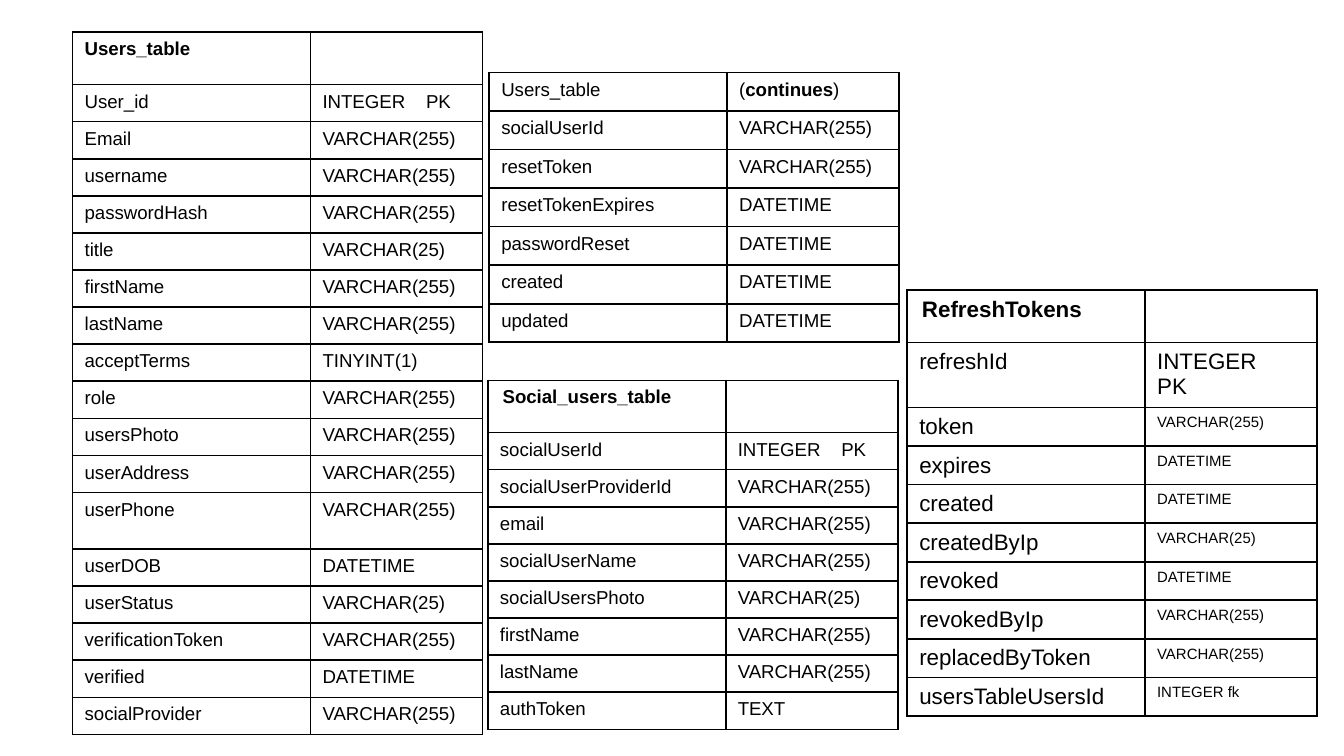
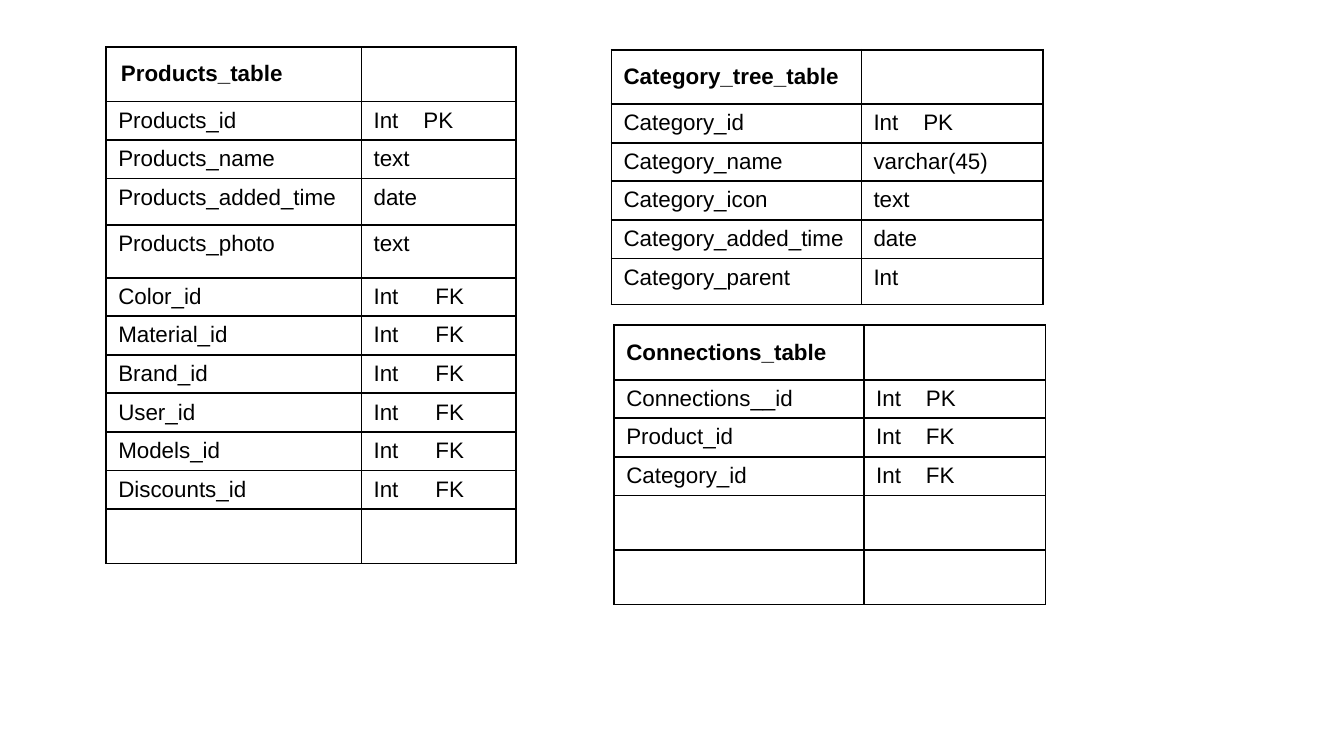
from dataclasses import dataclass

from lxml import etree
from pptx import Presentation
from pptx.dml.color import RGBColor
from pptx.enum.text import MSO_ANCHOR
from pptx.oxml.ns import qn
from pptx.util import Inches, Pt

TOP, MIDDLE = MSO_ANCHOR.TOP, MSO_ANCHOR.MIDDLE
WIDE = Inches(10)
HIGH = WIDE * 9 // 16
UNIT = WIDE // 100  # the grid has 100 columns across the slide


@dataclass
class Theme:
    font: str = "Arial"
    ink: str = "000000"
    line: float = 1
    small: int = 8
    base: int = 10
    large: int = 12
    side: float = 0.9
    foot: float = 0.5
    inset: float = 0.2


@dataclass
class Look:
    """How the tables of one slide are set."""
    size: int
    head: float  # padding above text
    bare: float  # padding in empty cells
    anchor: object = TOP
    lead: float = None


THEME = Theme()
USERS = Look(THEME.base, 0.5, 0.42)
SHOP = Look(THEME.large, 0.6, 0.5, MIDDLE, 0.93)

# Field types that recur
LONG, SHORT, DATE = "VARCHAR(255)", "VARCHAR(25)", "DATETIME"
KEY = "INTEGER\tPK"
MAIN, LINK = "Int\tPK", "Int\tFK"

USER_ROWS = [
    ("Users_table", ""), ("User_id", KEY), ("Email", LONG),
    ("username", LONG), ("passwordHash", LONG), ("title", SHORT),
    ("firstName", LONG), ("lastName", LONG), ("acceptTerms", "TINYINT(1)"),
    ("role", LONG), ("usersPhoto", LONG), ("userAddress", LONG),
    ("userPhone", LONG), ("userDOB", DATE), ("userStatus", SHORT),
    ("verificationToken", LONG), ("verified", DATE), ("socialProvider", LONG),
]
MORE_ROWS = [
    ("Users_table", ""), ("socialUserId", LONG), ("resetToken", LONG),
    ("resetTokenExpires", DATE), ("passwordReset", DATE),
    ("created", DATE), ("updated", DATE),
]
TOKEN_ROWS = [
    ("RefreshTokens", ""), ("refreshId", "INTEGER\vPK"), ("token", LONG),
    ("expires", DATE), ("created", DATE), ("createdByIp", SHORT),
    ("revoked", DATE), ("revokedByIp", LONG), ("replacedByToken", LONG),
    ("usersTableUsersId", "INTEGER fk"),
]
SOCIAL_ROWS = [
    ("Social_users_table", ""), ("socialUserId", KEY),
    ("socialUserProviderId", LONG), ("email", LONG),
    ("socialUserName", LONG), ("socialUsersPhoto", SHORT),
    ("firstName", LONG), ("lastName", LONG), ("authToken", "TEXT"),
]
TREE_ROWS = [
    ("Category_tree_table", ""), ("Category_id", MAIN),
    ("Category_name", "varchar(45)"), ("Category_icon", "text"),
    ("Category_added_time", "date"), ("Category_parent", "Int"),
]
JOIN_ROWS = [
    ("Connections_table", ""), ("Connections__id", MAIN),
    ("Product_id", LINK), ("Category_id", LINK), ("", ""), ("", ""),
]
GOODS_ROWS = [
    ("Products_table", ""), ("Products_id", MAIN), ("Products_name", "text"),
    ("Products_added_time", "date"), ("Products_photo", "text"),
    *[(f"{name}_id", LINK) for name in
      ("Color", "Material", "Brand", "User", "Models", "Discounts")],
    ("", ""),
]


def grid(cells):
    return round(cells * UNIT)


def add_run(para, text, size, bold=False):
    run = para.add_run()
    run.text = text
    font = run.font
    font.name, font.size, font.bold = THEME.font, Pt(size), bold
    font.color.rgb = RGBColor.from_string(THEME.ink)


def set_tab(para, stop):
    tabs = etree.SubElement(para._p.get_or_add_pPr(), qn("a:tabLst"))
    etree.SubElement(tabs, qn("a:tab"), pos=str(grid(stop)), algn="l")


def frame(cell):
    """Clear the fill and rule all four sides."""
    cell.fill.background()
    props = cell._tc.get_or_add_tcPr()
    for place, side in enumerate(("lnL", "lnR", "lnT", "lnB")):
        line = etree.Element(qn(f"a:{side}"), w=str(Pt(THEME.line)))
        fill = etree.SubElement(line, qn("a:solidFill"))
        etree.SubElement(fill, qn("a:srgbClr"), val=THEME.ink)
        props.insert(place, line)


def fill_cell(cell, text, look, size, bold=False, stop=None):
    frame(cell)
    cell.margin_left = cell.margin_right = grid(THEME.side)
    cell.margin_top = grid(look.head if text else look.bare)
    cell.margin_bottom = grid(THEME.foot if text else look.bare)
    if not text:
        return
    para = cell.text_frame.paragraphs[0]
    if look.lead:
        para.line_spacing = look.lead
    if "\t" in text:
        set_tab(para, stop)
    for part, line in enumerate(text.split("\v")):
        if part:
            para.add_line_break()
        add_run(para, line, size, bold)


def add_schema(slide, spot, cols, rows, look, step, tall=None, size=None,
               kind=None, stop=None, bold=True, inset=False):
    """Draw field names and types; tall maps row numbers to heights."""
    size = size or look.size
    highs = [(tall or {}).get(i, step) for i in range(len(rows))]
    box = [grid(n) for n in (*spot, sum(cols), sum(highs))]
    table = slide.shapes.add_table(len(rows), len(cols), *box).table
    table.first_row = table.horz_banding = False
    for col, width in zip(table.columns, cols):
        col.width = grid(width)
    for i, (name, sort) in enumerate(rows):
        table.rows[i].height = grid(highs[i])
        fill_cell(table.cell(i, 0), name, look, size, bold and i == 0)
        fill_cell(table.cell(i, 1), sort, look,
                  kind if kind and i > 1 else size, stop=stop)
    head = table.cell(0, 0)
    head.vertical_anchor = look.anchor
    if inset:
        props = head.text_frame.paragraphs[0]._p.get_or_add_pPr()
        props.set("marL", str(grid(THEME.inset)))
        props.set("indent", "0")
    return table


def draw_users(slide):
    cols = (17.7, 12.8)
    add_schema(slide, (5.4, 2.4), cols, USER_ROWS, USERS, 2.76,
               {0: 3.7, 12: 4.2}, stop=7.7)

    # Second part of the users table, with a mixed heading
    more = add_schema(slide, (36.4, 5.4), cols, MORE_ROWS, USERS, 2.87,
                      bold=False)
    note = more.cell(0, 1)
    note.margin_top, note.margin_bottom = grid(USERS.head), grid(THEME.foot)
    para = note.text_frame.paragraphs[0]
    for text, bold in (("(", False), ("continues", True), (")", False)):
        add_run(para, text, USERS.size, bold)

    add_schema(slide, (67.5, 21.6), cols, TOKEN_ROWS, USERS, 2.87,
               {0: 3.7, 1: 4.83}, THEME.large, THEME.small, inset=True)
    add_schema(slide, (36.3, 28.3), cols, SOCIAL_ROWS, USERS, 2.76,
               {0: 3.7}, stop=7.7, inset=True)


def draw_shop(slide):
    # Category tables share their columns
    cols, head, step = (17.75 + 0.85, 13.5), 3.87, 2.87
    add_schema(slide, (45.5, 3.7), cols, TREE_ROWS, SHOP, step,
               {0: head, 5: 3.45}, stop=3.7)
    add_schema(slide, (45.7, 24.2), cols, JOIN_ROWS, SHOP, step,
               {0: head, 4: head, 5: head}, stop=3.7)

    goods = add_schema(slide, (7.9, 3.5), (19, 11.5), GOODS_ROWS, SHOP, step,
                       {0: head, 3: 3.45, 4: 3.93, 11: head},
                       stop=4.6, inset=True)
    # The key of the products sits closer to its type
    key = goods.cell(1, 1).text_frame.paragraphs[0]
    key._p.pPr.find(qn("a:tabLst"))[0].set("pos", str(grid(3.7)))


def main():
    deck = Presentation()
    deck.slide_width, deck.slide_height = WIDE, HIGH
    blank = deck.slide_layouts[6]
    for draw in (draw_users, draw_shop):
        draw(deck.slides.add_slide(blank))
    deck.save("out.pptx")


if __name__ == "__main__":
    main()
